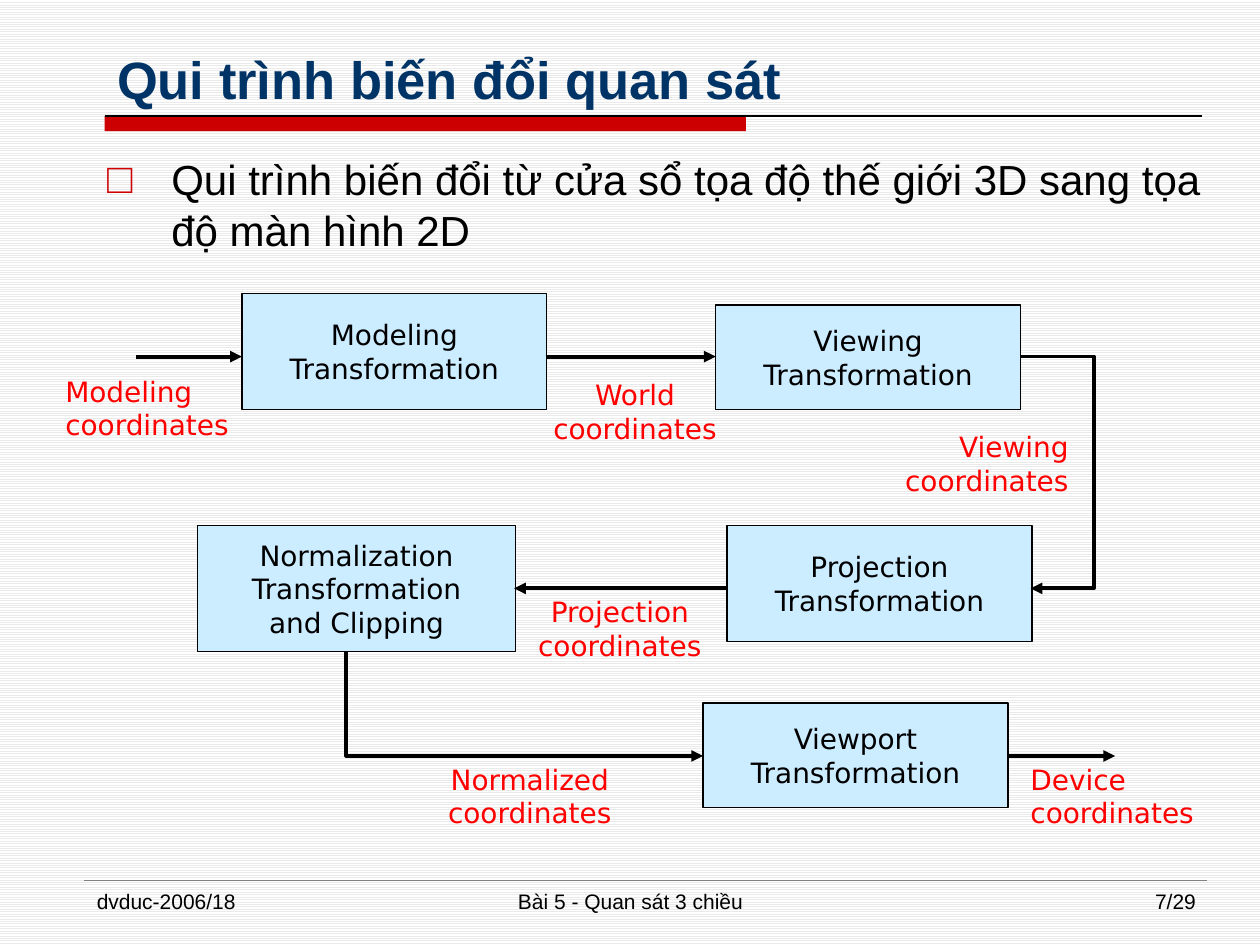
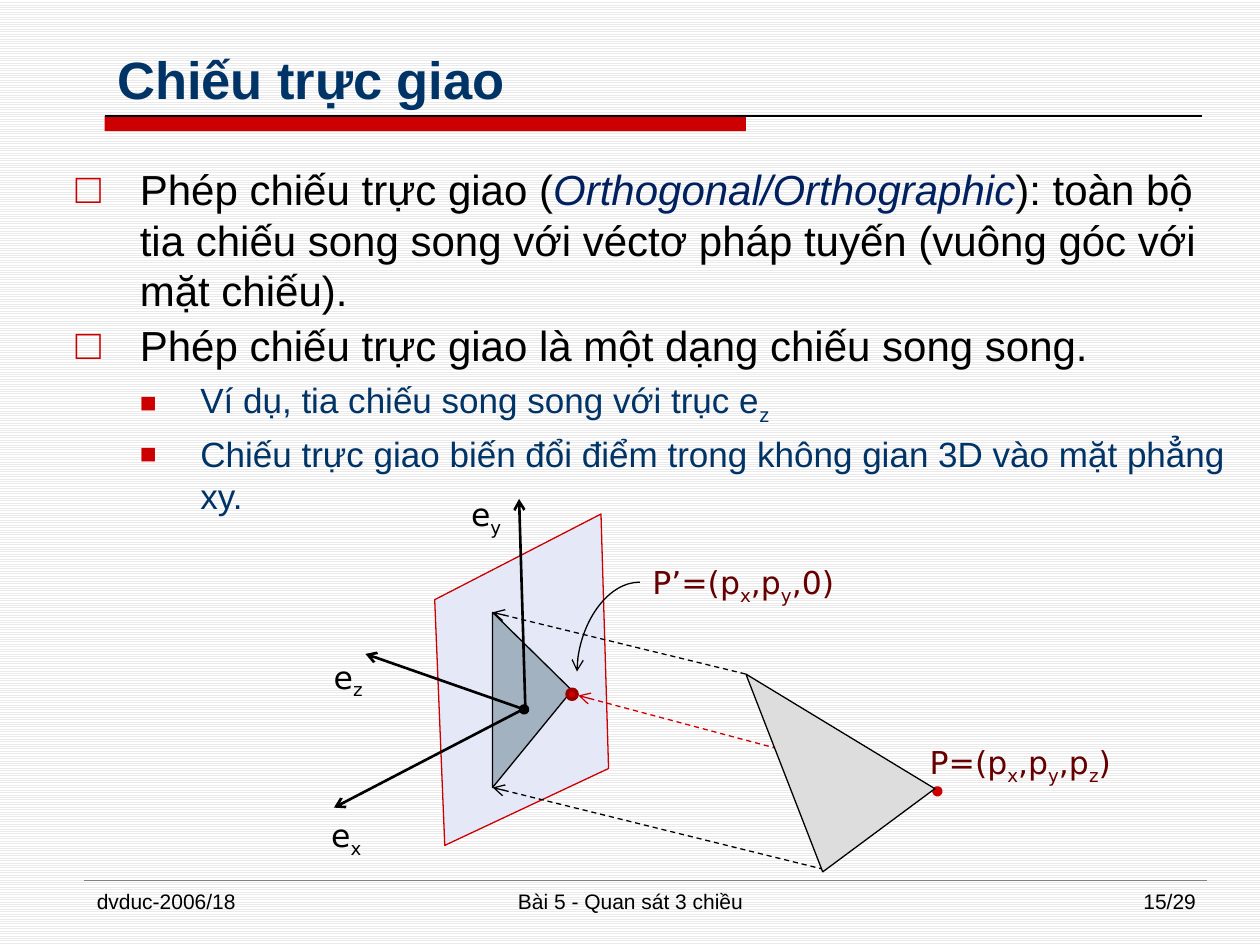
from dataclasses import dataclass
from typing import Callable

from lxml.etree import SubElement as Sub
from pptx import Presentation
from pptx.dml.color import RGBColor
from pptx.enum.dml import MSO_LINE as Dash, MSO_PATTERN as Pat
from pptx.enum.shapes import MSO_CONNECTOR as Conn, MSO_SHAPE as Geom
from pptx.enum.text import MSO_ANCHOR as Anchor, MSO_AUTO_SIZE as Fit, PP_ALIGN as Align
from pptx.oxml.ns import qn
from pptx.util import Inches, Pt

NAVY, RED, BLACK, HOT, WINE = "003366", "CC0000", "000000", "FF0000", "660000"
SANS, FACE = "DejaVu Sans", "Arial"
LEFT, MID, RIGHT = Align.LEFT, Align.CENTER, Align.RIGHT
Point = tuple[float, float]


@dataclass
class Box:
    x: float
    y: float
    w: float
    h: float
    text: str


@dataclass
class Note:
    x: float
    y: float
    w: float
    text: str
    align: Align = LEFT


@dataclass
class Link:
    start: Point
    end: Point
    color: str = BLACK
    width: float = 2.25
    head: str = ""
    tail: str = ""
    dash: bool = False


@dataclass
class Area:
    points: list[Point]
    fill: str
    edge: str = BLACK


@dataclass
class Item:
    text: str
    level: int = 0


def paint(target, color: str) -> None:
    target.rgb = RGBColor.from_string(color)


def fill(shape, color: str) -> None:
    shape.fill.solid()
    paint(shape.fill.fore_color, color)


def edge(shape, color: str, width: float) -> None:
    paint(shape.line.color, color)
    shape.line.width = Pt(width)


def tips(shape, head: str, tail: str) -> None:
    ln = shape.line._get_or_add_ln()
    for tag, kind in (("a:headEnd", head), ("a:tailEnd", tail)):
        if kind:
            Sub(ln, qn(tag), type=kind)


def style(font, size: float, color: str, face: str = FACE) -> None:
    font.size, font.name = Pt(size), face
    paint(font.color, color)


def lower(run) -> None:
    run._r.get_or_add_rPr().set("baseline", "-25000")


def slant(run) -> None:
    run.font.italic = True
    paint(run.font.color, "002060")


def spread(par, text: str, sign: str, mark: Callable) -> None:
    for i, part in enumerate(text.split(sign)):
        if part:
            run = par.add_run()
            run.text = part
            if i % 2:
                mark(run)


def write(slide, note: Note, size: float, color: str, face: str = SANS,
          high: float = 0.4, wrap: bool = True) -> None:
    area = slide.shapes.add_textbox(*map(Inches, (note.x, note.y, note.w, high)))
    frame = area.text_frame
    frame.word_wrap = wrap
    par = frame.paragraphs[0]
    par.alignment = note.align
    style(par.font, size, color, face)
    spread(par, note.text, "_", lower)


def block(slide, kind: Geom, x: float, y: float, w: float, h: float, color: str):
    shape = slide.shapes.add_shape(kind, *map(Inches, (x, y, w, h)))
    shape.shadow.inherit = False
    fill(shape, color)
    return shape


def join(slide, link: Link, kind: Conn = Conn.STRAIGHT):
    line = slide.shapes.add_connector(kind, *map(Inches, link.start + link.end))
    edge(line, link.color, link.width)
    if link.dash:
        line.line.dash_style = Dash.DASH
    tips(line, link.head, link.tail)
    Sub(line._element.spPr, qn("a:effectLst"))
    return line


def trace(slide, points: list[Point], close: bool):
    spots = [(Inches(x), Inches(y)) for x, y in points]
    pen = slide.shapes.build_freeform(*spots[0])
    pen.add_line_segments(spots[1:], close=close)
    shape = pen.convert_to_shape()
    shape.shadow.inherit = False
    return shape


def bend(slide, points: list[Point]) -> None:
    shape = trace(slide, points, False)
    shape.fill.background()
    edge(shape, BLACK, 2.25)
    tips(shape, "", "triangle")


def panel(slide, area: Area) -> None:
    shape = trace(slide, area.points, True)
    fill(shape, area.fill)
    edge(shape, area.edge, 0.75)


def stage(slide, box: Box) -> None:
    shape = block(slide, Geom.RECTANGLE, box.x, box.y, box.w, box.h, "CCECFF")
    edge(shape, BLACK, 0.75)
    frame = shape.text_frame
    frame.word_wrap = False
    frame.vertical_anchor = Anchor.MIDDLE
    frame.text = box.text
    for par in frame.paragraphs:
        par.alignment = MID
        style(par.font, 16, BLACK, SANS)


def place(shape, x: float, y: float, w: float, h: float):
    shape.left, shape.top, shape.width, shape.height = map(Inches, (x, y, w, h))
    shape.text_frame.auto_size = Fit.NONE
    return shape.text_frame


def bullet(par, level: int) -> None:
    left, hang, size, char = ((0.51, 0.51, 100, "□"), (0.99, 0.48, 80, "■"))[level]
    par.level = level
    props = par._p.get_or_add_pPr()
    props.set("marL", str(Inches(left)))
    props.set("indent", str(-Inches(hang)))
    Sub(Sub(props, qn("a:buClr")), qn("a:srgbClr"), val=RED)
    Sub(props, qn("a:buSzPct"), val=str(size * 1000))
    Sub(props, qn("a:buChar"), char=char)


def fill_body(frame, items: list[Item]) -> None:
    frame.text = "\n" * (len(items) - 1)
    for par, item in zip(frame.paragraphs, items):
        bullet(par, item.level)
        if item.level:
            par.space_before, par.space_after = Pt(3.5), Pt(0)
            style(par.font, 20, NAVY)
            spread(par, item.text, "_", lower)
        else:
            par.space_before = par.space_after = Pt(1.4)
            style(par.font, 24, BLACK)
            spread(par, item.text, "*", slant)


def start(deck, title: str, page: str, body: tuple, items: list[Item]):
    slide = deck.slides.add_slide(deck.slide_layouts[1])
    block(slide, Geom.RECTANGLE, 0.83, 0.92, 5.09, 0.12, RED).line.fill.background()
    join(slide, Link((0.83, 0.92), (9.54, 0.92), BLACK, 0.75))
    join(slide, Link((0.67, 6.99), (9.58, 6.99), "808080", 0.25))
    for note in (Note(0.67, 7, 2.17, "dvduc-2006/18"),
                 Note(3.42, 7, 3.17, "Bài 5 - Quan sát 3 chiều", MID),
                 Note(7.42, 7, 2.17, page, RIGHT)):
        write(slide, note, 12, BLACK, FACE, 0.35)
    frame = place(slide.shapes.title, 0.83, 0.17, 9, 0.75)
    frame.vertical_anchor = Anchor.BOTTOM
    frame.text = title
    par = frame.paragraphs[0]
    par.alignment = LEFT
    style(par.font, 30, NAVY)
    par.font.bold = True
    fill_body(place(slide.placeholders[1], *body), items)
    return slide


def flow(deck) -> None:
    slide = start(deck, "Qui trình biến đổi quan sát", "7/29", (0.75, 1.17, 9, 1.08), [
        Item("Qui trình biến đổi từ cửa sổ tọa độ thế giới 3D sang tọa độ màn hình 2D")])
    for box in (Box(1.92, 2.33, 2.42, 0.92, "Modeling\nTransformation"),
                Box(5.68, 2.42, 2.42, 0.83, "Viewing\nTransformation"),
                Box(5.77, 4.17, 2.42, 0.92, "Projection\nTransformation"),
                Box(1.57, 4.17, 2.52, 1, "Normalization\nTransformation\nand Clipping"),
                Box(5.58, 5.58, 2.42, 0.83, "Viewport\nTransformation")):
        stage(slide, box)
    for a, b, y in ((1.08, 1.92, 2.83), (4.33, 5.68, 2.83),
                    (5.77, 4.08, 4.67), (8, 8.85, 6)):
        join(slide, Link((a, y), (b, y), tail="triangle"))
    bend(slide, [(8.1, 2.83), (8.68, 2.83), (8.68, 4.67), (8.18, 4.67)])
    bend(slide, [(2.75, 5.17), (2.75, 6), (5.58, 6)])
    for note in (Note(0.42, 2.92, 1.58, "Modeling coordinates"),
                 Note(4.25, 2.95, 1.58, "World coordinates", MID),
                 Note(6.58, 3.36, 2, "Viewing coordinates", RIGHT),
                 Note(4.17, 4.67, 1.5, "Projection coordinates", MID),
                 Note(3.08, 6, 2.25, "Normalized coordinates", MID),
                 Note(8.08, 6, 1.59, "Device coordinates")):
        write(slide, note, 16, HOT, high=0.64)


def ortho(deck) -> None:
    slide = start(deck, "Chiếu trực giao", "15/29", (0.5, 1.25, 9.33, 5.58), [
        Item("Phép chiếu trực giao (*Orthogonal/Orthographic*): toàn bộ tia chiếu song "
             "song với véctơ pháp tuyến (vuông góc với mặt chiếu)."),
        Item("Phép chiếu trực giao là một dạng chiếu song song."),
        Item("Ví dụ, tia chiếu song song với trục e_z_", 1),
        Item("Chiếu trực giao biến đổi điểm trong không gian 3D vào mặt phẳng xy.", 1)])
    top, low = (3.91, 4.86), (3.91, 6.25)
    peak, foot = (5.92, 5.35), (6.53, 6.92)
    panel(slide, Area([(3.53, 6.71), (3.45, 4.76), (4.77, 4.08), (4.83, 6.1)],
                      "E5E9F7", RED))
    panel(slide, Area([low, top, (4.54, 5.48)], "A3B2C1"))
    for link in (Link((4.12, 3.96), (4.17, 5.63), width=1.5, head="arrow"),
                 Link((4.15, 5.63), (2.65, 6.41), width=1.5, tail="arrow"),
                 Link((2.9, 5.19), (4.16, 5.63), width=1.5, head="arrow", tail="oval"),
                 Link(top, peak, BLACK, 0.75, "arrow", dash=True),
                 Link((4.59, 5.52), (7.44, 6.28), RED, 0.75, "arrow", "oval", True),
                 Link(low, (6.54, 6.9), BLACK, 0.75, "arrow", dash=True)):
        join(slide, link)
    panel(slide, Area([foot, peak, (7.42, 6.26)], "DDDDDD"))
    for note in (Note(2.55, 5.17, 0.44, "e_z_"), Note(2.53, 6.43, 0.45, "e_x_"),
                 Note(3.64, 3.88, 0.45, "e_y_")):
        write(slide, note, 18, BLACK, wrap=False)
    for note in (Note(7.28, 5.85, 1.72, "P=(p_x_,p_y_,p_z_)"),
                 Note(5.08, 4.42, 1.7, "P’=(p_x_,p_y_,0)")):
        write(slide, note, 18, WINE, wrap=False)
    edge(block(slide, Geom.OVAL, 4.5, 5.47, 0.08, 0.08, RED), "990000", 2)
    curve = join(slide, Link((5.08, 4.62), (4.58, 5.33), width=0.75, tail="arrow"),
                 Conn.CURVE)
    curve._element.spPr.find(qn("a:prstGeom")).set("prst", "curvedConnector2")


def main() -> None:
    deck = Presentation()
    deck.slide_width, deck.slide_height = Inches(10), Inches(7.5)
    back = deck.slide_master.background.fill
    back.patterned()
    back.pattern = Pat.LIGHT_HORIZONTAL
    paint(back.fore_color, "EAEAEA")
    paint(back.back_color, "FFFFFF")
    flow(deck)
    ortho(deck)
    deck.save("out.pptx")


main()
